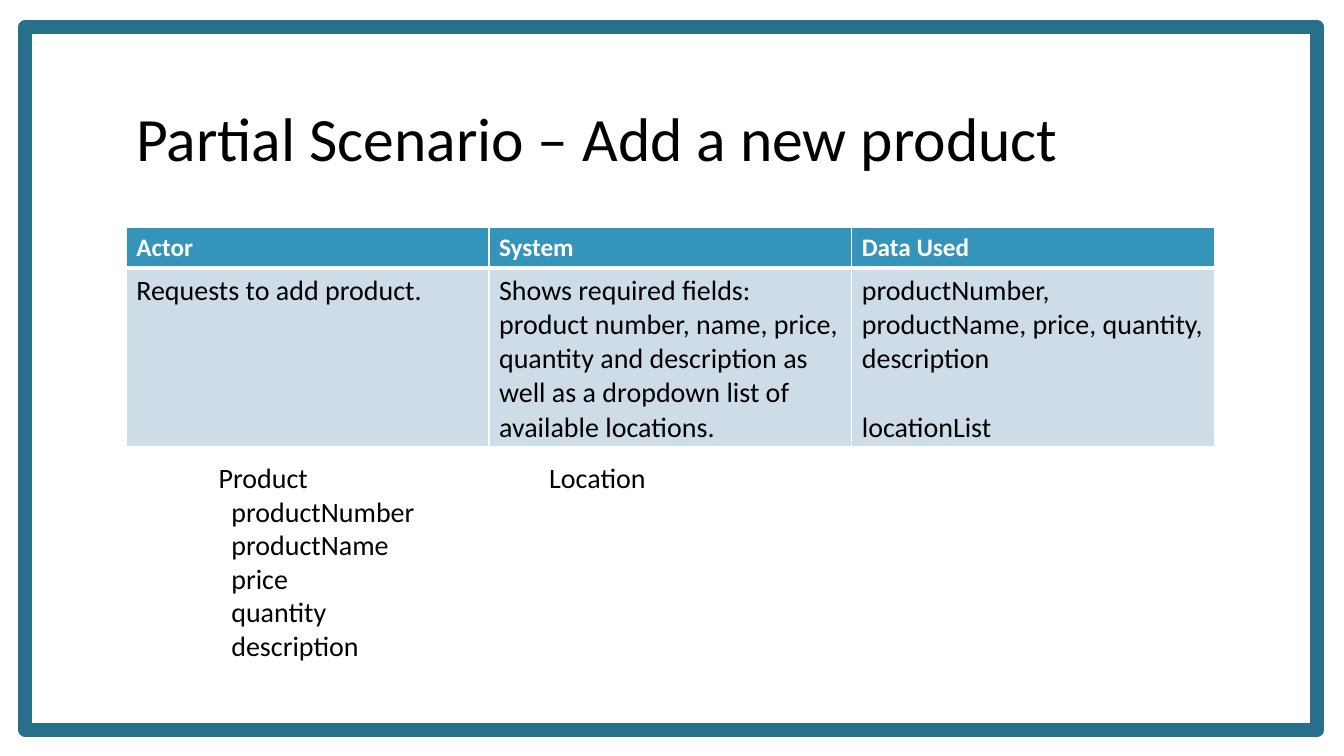
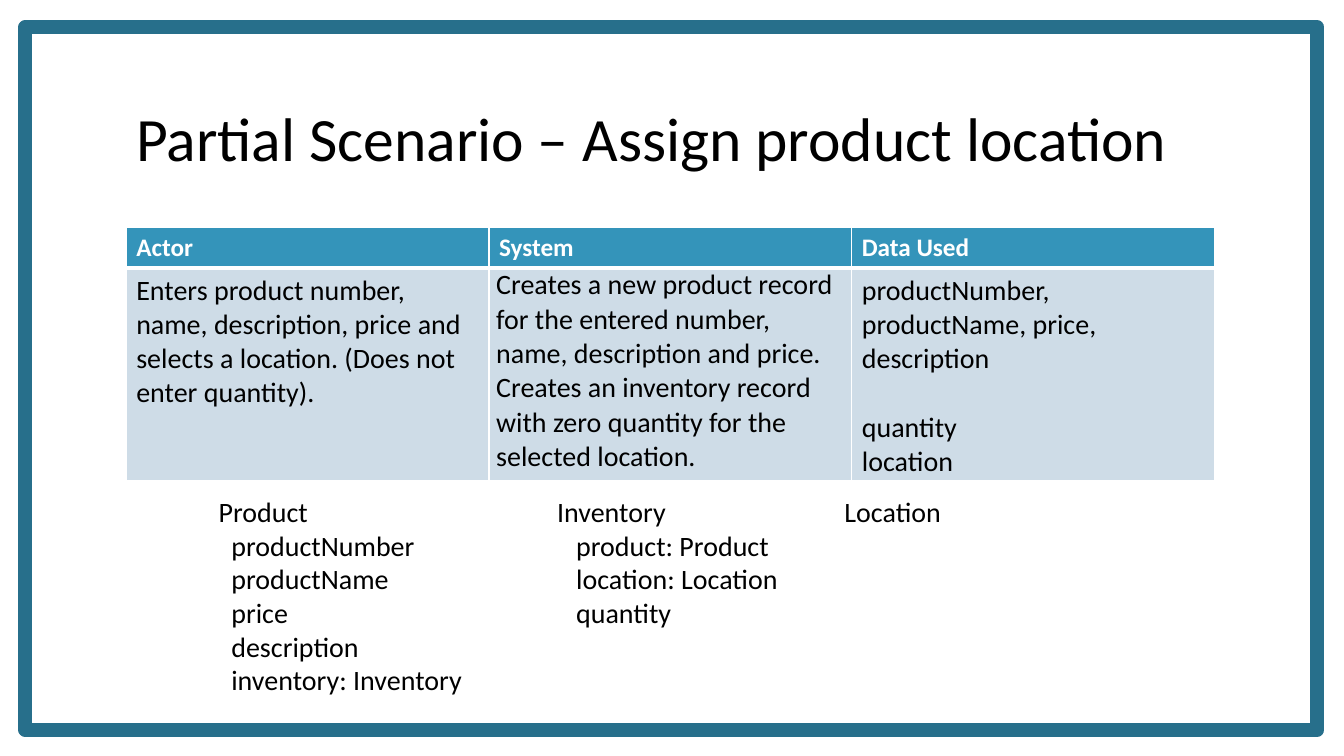
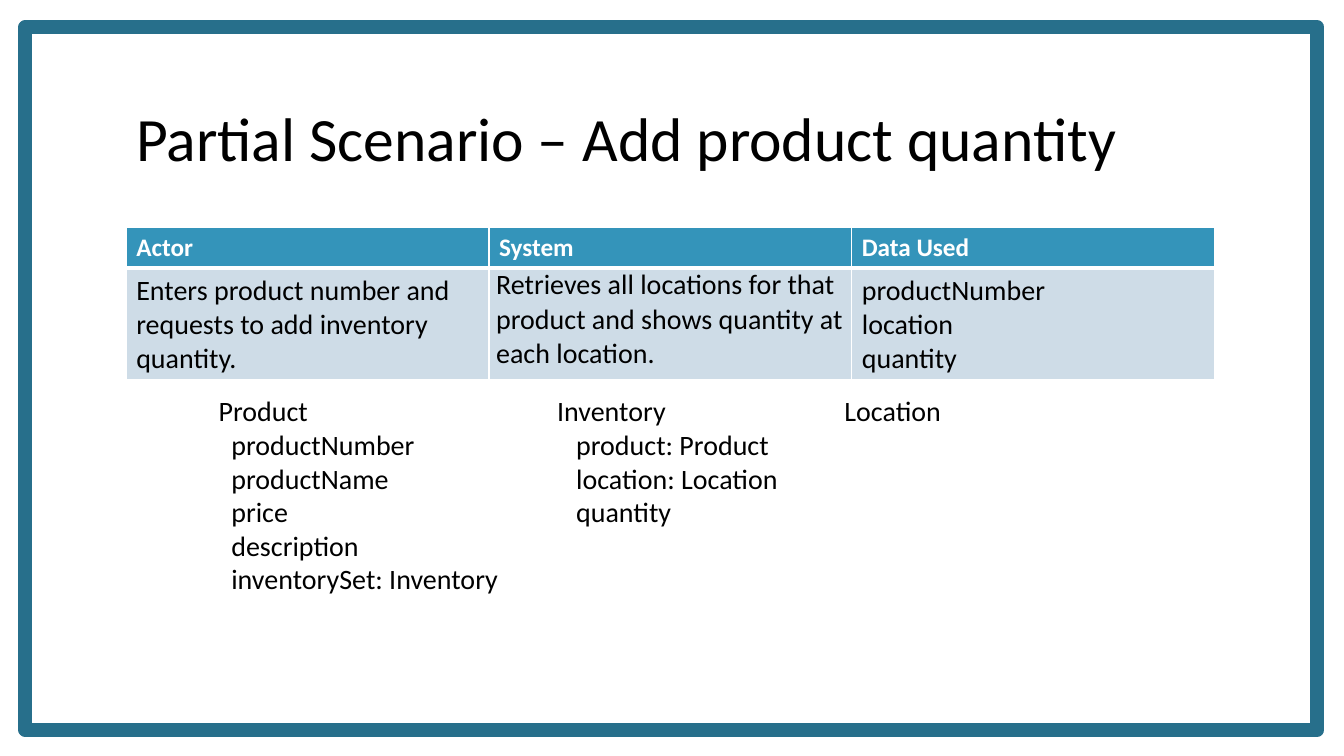
from lxml import etree
from pptx import Presentation, util as u
from pptx.dml.color import RGBColor
from pptx.enum import shapes, text
from pptx.oxml.ns import qn

FONT = "Calibri"
BLACK, WHITE = "000000", "FFFFFF"
FRAME, HEADER, BODY = "276F8B", "3494BA", "CEDCE7"
TITLE_BOX = (3.18, 1.7, 27.43, 3.76)
TABLE_LEFT, TABLE_TOP, TABLE_WIDTH = 3.18, 5.72, 27.43
HEADER_HEIGHT, LIST_GAP, LINE_HEIGHT = 1.04, 0.25, 0.85
COLUMNS = ("Actor", "System", "Data Used")


def rgb(value):
    """Turn a hex string into a colour."""
    return RGBColor.from_string(value)


def style(obj, values):
    """Set attributes from a dict of format values."""
    for name, value in values.items():
        setattr(obj, name, value)


def fill(obj, color):
    """Give a shape or cell a solid fill."""
    obj.fill.solid()
    obj.fill.fore_color.rgb = rgb(color)


def write(tf, lines, size, color=BLACK, bold=False):
    """Write one paragraph per line and return the paragraphs."""
    for i, line in enumerate(lines):
        p = tf.paragraphs[0] if i == 0 else tf.add_paragraph()
        r = p.add_run()
        r.text = line
        style(r.font, {"name": FONT, "size": u.Pt(size), "bold": bold})
        r.font.color.rgb = rgb(color)
    return tf.paragraphs


def add_frame(s, left, top, width, height):
    """Draw the thick rounded-corner frame around the slide."""
    sp = s.shapes.add_shape(shapes.MSO_SHAPE.RECTANGLE,
                            *map(u.Cm, (left, top, width, height)))
    sp.shadow.inherit = False
    fill(sp, WHITE)
    sp.line.color.rgb = rgb(FRAME)
    sp.line.width = u.Pt(10)
    etree.SubElement(sp.line._get_or_add_ln(), qn("a:round"))


def add_title(s, title, left, top, width, height):
    """Place the slide title, centred vertically in its box."""
    tf = s.shapes.add_textbox(*map(u.Cm, (left, top, width, height))).text_frame
    style(tf, {"word_wrap": True, "vertical_anchor": text.MSO_ANCHOR.MIDDLE})
    write(tf, [title], 44)[0].line_spacing = 0.9


def add_borders(cell, top, bottom):
    """Draw white cell borders with the given top and bottom widths."""
    tcPr = cell._tc.get_or_add_tcPr()
    for side, width in zip("LRTB", (1, 1, top, bottom)):
        ln = etree.SubElement(tcPr, qn(f"a:ln{side}"), w=str(u.Pt(width)))
        solid = etree.SubElement(ln, qn("a:solidFill"))
        etree.SubElement(solid, qn("a:srgbClr"), val=WHITE)


def add_scenario(s, groups, tight, left, top, width, body_height):
    """Place the scenario table: a header row and one step."""
    height = HEADER_HEIGHT + body_height
    table = s.shapes.add_table(2, len(COLUMNS),
                               *map(u.Cm, (left, top, width, height))).table
    table.rows[0].height = u.Cm(HEADER_HEIGHT)
    table.rows[1].height = u.Cm(body_height)
    for col, (heading, parts) in enumerate(zip(COLUMNS, groups)):
        head, step = table.cell(0, col), table.cell(1, col)
        add_borders(head, 1, 3)
        add_borders(step, 3, 1)
        fill(head, HEADER)
        fill(step, BODY)
        write(head.text_frame, [heading], 18, WHITE, True)
        paragraphs = write(step.text_frame, sum(parts, []), 20)
        if len(parts) > 1:
            paragraphs[len(parts[0])].space_before = u.Pt(24.4)
        if tight and heading == "System":
            style(step, {"margin_left": u.Cm(0.18), "margin_right": u.Cm(0.18),
                         "margin_top": 0, "margin_bottom": 0})


def add_class(s, name, fields, indent, left, top, width):
    """List a class name with its indented fields."""
    height = LIST_GAP + LINE_HEIGHT * (1 + len(fields))
    tf = s.shapes.add_textbox(*map(u.Cm, (left, top, width, height))).text_frame
    style(tf, {"word_wrap": False,
               "auto_size": text.MSO_AUTO_SIZE.SHAPE_TO_FIT_TEXT})
    for p in write(tf, [name, *fields], 20)[1:]:
        p._p.get_or_add_pPr().set("marL", str(u.Cm(indent)))


def add_slide(prs, title, groups, body_height, classes, tight=True):
    """Build one scenario slide."""
    s = prs.slides.add_slide(prs.slide_layouts[6])
    add_frame(s, 0.64, 0.69, 32.56, 17.7)
    add_title(s, f"Partial Scenario – {title}", *TITLE_BOX)
    add_scenario(s, groups, tight, TABLE_LEFT, TABLE_TOP, TABLE_WIDTH, body_height)
    list_top = TABLE_TOP + HEADER_HEIGHT + body_height + LIST_GAP
    for name, fields, indent, left, width in classes:
        add_class(s, name, fields, indent, left, list_top, width)


def product(fields, width):
    """Describe the product class, which always starts with the same fields."""
    return ("Product", ["productNumber", "productName", "price", *fields],
            0.32, 5.26, width)


def location(left):
    """Describe the location class, which has no fields yet."""
    return "Location", [], 0, left, 2.97


INVENTORY = ("Inventory", ["product: Product", "location: Location", "quantity"],
             0.48, 13.79, 6.12)

prs = Presentation()
style(prs, {"slide_width": u.Cm(33.87), "slide_height": u.Cm(19.05)})

add_slide(
    prs, "Add a new product",
    [[["Requests to add product."]],
     [["Shows required fields: product number, name, price, quantity and "
       "description as well as a dropdown list of available locations."]],
     [["productNumber, productName, price, quantity, description"],
      ["locationList"]]],
    4.47,
    [product(["quantity", "description"], 5.49), location(13.59)],
    tight=False)

add_slide(
    prs, "Assign product location",
    [[["Enters product number, name, description, price and selects a "
       "location. (Does not enter quantity)."]],
     [["Creates a new product record for the entered number, name, description "
       "and price. Creates an inventory record with zero quantity for the "
       "selected location."]],
     [["productNumber, productName, price, description"],
      ["quantity", "location"]]],
    5.33,
    [product(["description", "inventory: Inventory"], 6.68), location(21.03),
     INVENTORY])

add_slide(
    prs, "Add product quantity",
    [[["Enters product number and requests to add inventory quantity."]],
     [["Retrieves all locations for that product and shows quantity at each "
       "location."]],
     [["productNumber", "location", "quantity"]]],
    2.79,
    [product(["description", "inventorySet: Inventory"], 7.62), location(21.03),
     INVENTORY])

prs.save("out.pptx")
